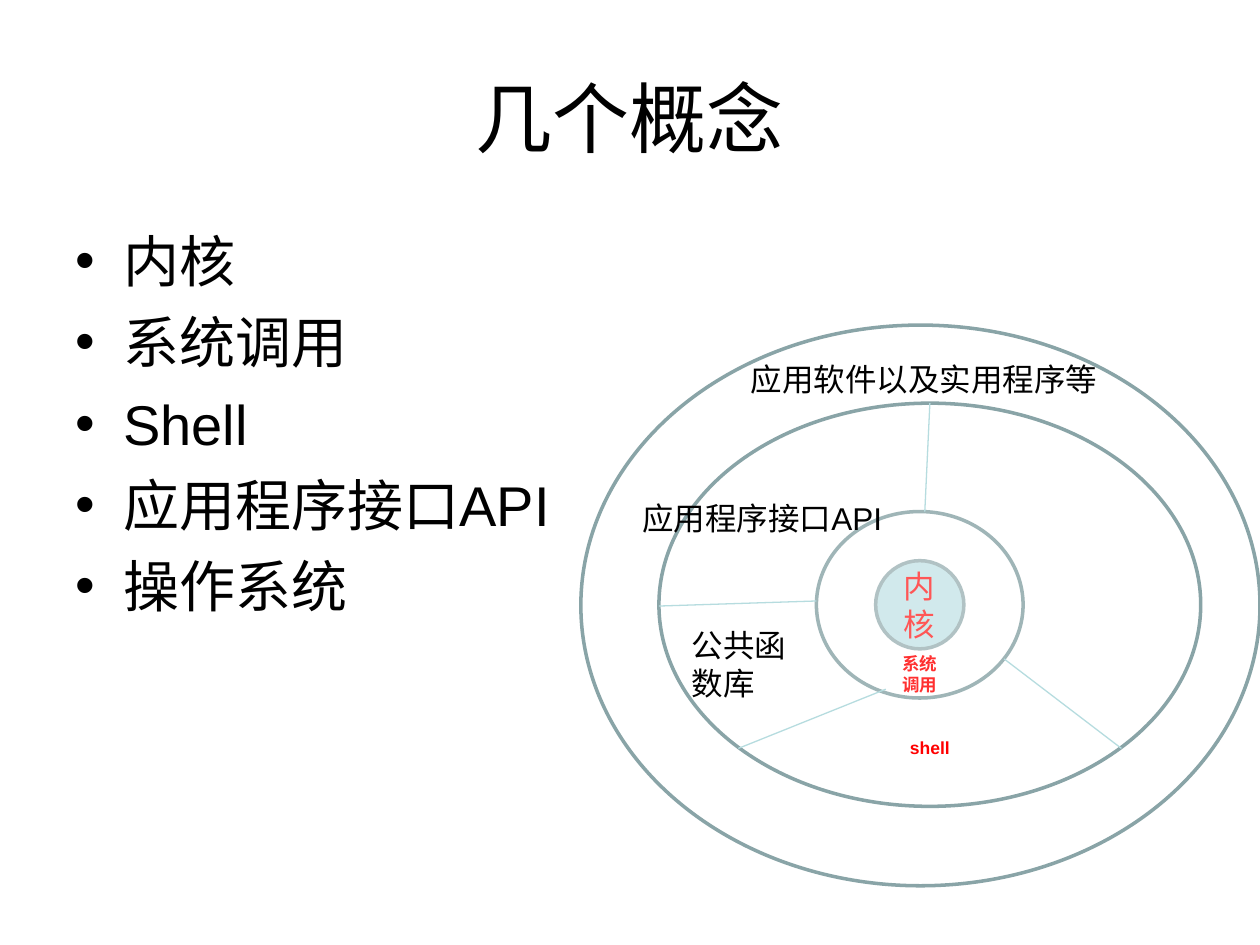
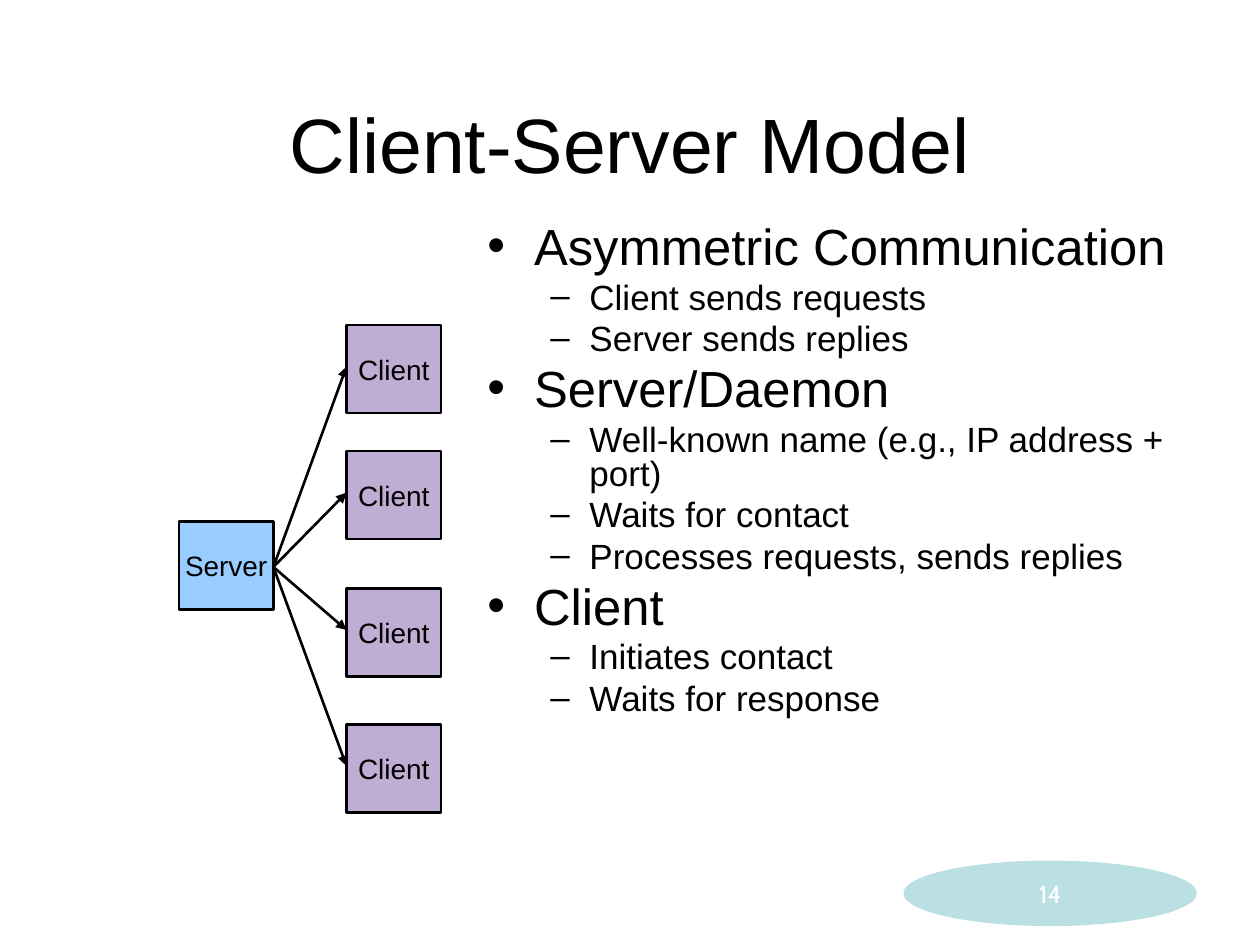
from lxml import etree
from pptx import Presentation
from pptx import util as u
from pptx.dml import color as dml
from pptx.enum import shapes, text
from pptx.oxml import ns

COLORS = {"ink": "000000", "paper": "FFFFFF", "alert": "FF0000", "mint": "BBE0E3",
          "rim": "89A4A7", "spoke": "B6DCDF", "client": "BFADD3", "server": "99CCFF"}
COLUMNS, ROWS = 100, 75
TITLE_CELL = (5, 3, 90, 12.5)
CENTER, LEFT = text.PP_ALIGN.CENTER, text.PP_ALIGN.LEFT
TOP, MIDDLE, BOTTOM = text.MSO_ANCHOR.TOP, text.MSO_ANCHOR.MIDDLE, text.MSO_ANCHOR.BOTTOM

CONCEPTS = {
    "title": "几个概念",
    "points": [(0, "内核"), (0, "系统调用"), (0, "Shell"), (0, "应用程序接口API"), (0, "操作系统")],
    "points_cell": (5, 17.5, 43.4, 49.5),
    "levels": [dict(size=32, mark="•", margin=0.38, hang=0.38, before=8, spacing=1)],
}
KERNEL = ("内核", (69.5, 44.5, 7, 7))
RINGS = [
    ((64.8, 40.6, 16.4, 14.8), ["系统", "调用"], (68, 51.4, 10, 4.2)),
    ((52.3, 32, 43, 32), ["shell"], (68.8, 57.8, 10, 3)),
]
SPOKES = [((52.3, 48.1), (64.8, 47.7)), ((73.8, 32), (73.4, 40.6)),
          ((58.6, 59.4), (70.3, 54.7)), ((79.7, 52.3), (89, 59.4))]
OUTER_RING = (46.1, 25.8, 53.9, 44.5)
SECTORS = [("公共函数库", (53.9, 49.2, 10.9, 7)), ("应用程序接口API", (50, 39.1, 21.9, 4)),
           ("应用软件以及实用程序等", (58.6, 28.1, 30.5, 4))]

MODEL = {
    "title": "Client-Server Model",
    "points": [
        (0, "Asymmetric Communication"), (1, "Client sends requests"), (1, "Server sends replies"),
        (0, "Server/Daemon"), (1, "Well-known name (e.g., IP address + port)"),
        (1, "Waits for contact"), (1, "Processes requests, sends replies"),
        (0, "Client"), (1, "Initiates contact"), (1, "Waits for response")],
    "points_cell": (37.7, 17.5, 57.3, 49.5),
    "levels": [dict(size=29, mark="•", margin=0.37, hang=0.37, before=6, spacing=0.8),
               dict(size=20, mark="–", margin=0.81, hang=0.31, before=4.5, spacing=0.8)],
}
NODE = (7.5, 7)
SERVER = (14.2, 41.4)
CLIENT_COLUMN, CLIENT_ROWS = 27.5, (25.8, 35.8, 46.7, 57.5)
SERVER_PORT, CLIENT_PORT = 3.6, 3.3
PAGE = ("14", (71.7, 68.3, 23.3, 5.2))

deck = Presentation()
deck.slide_width, deck.slide_height = u.Inches(10), u.Inches(7.5)


def spot(column, row):
    return round(column * deck.slide_width / COLUMNS), round(row * deck.slide_height / ROWS)


def place(cell):
    return *spot(*cell[:2]), *spot(*cell[2:])


def apply(target, **values):
    for name, value in values.items():
        setattr(target, name, value)


def rgb(name):
    return dml.RGBColor.from_string(COLORS[name])


def child(parent, tag, **attributes):
    return etree.SubElement(parent, ns.qn(tag), attributes)


def write(shape, lines, size, color="ink", align=CENTER, anchor=MIDDLE, bold=False,
          wrap=True, face="Arial"):
    frame = shape.text_frame
    apply(frame, word_wrap=wrap, vertical_anchor=anchor)
    for index, line in enumerate(lines):
        paragraph = frame.paragraphs[0] if index == 0 else frame.add_paragraph()
        paragraph.alignment = align
        run = paragraph.add_run()
        run.text = line
        apply(run.font, name=face, size=u.Pt(size), bold=bold)
        run.font.color.rgb = rgb(color)


def label(slide, cell, lines, size, **look):
    write(slide.shapes.add_textbox(*place(cell)), lines, size, **look)


def draw(slide, kind, cell, fill=None, line=None, width=2, opacity=None):
    shape = slide.shapes.add_shape(kind, *place(cell))
    shape.shadow.inherit = False
    if fill:
        shape.fill.solid()
        shape.fill.fore_color.rgb = rgb(fill)
    else:
        shape.fill.background()
    if opacity:
        tint = shape.fill._xPr.find(".//" + ns.qn("a:srgbClr"))
        child(tint, "a:alpha", val=str(opacity * 1000))
    if line:
        shape.line.color.rgb = rgb(line)
        shape.line.width = u.Pt(width)
    else:
        shape.line.fill.background()
    return shape


def connect(slide, start, end, color, width, arrow=False):
    link = slide.shapes.add_connector(shapes.MSO_CONNECTOR.STRAIGHT, *spot(*start), *spot(*end))
    link.line.color.rgb = rgb(color)
    link.line.width = u.Pt(width)
    if arrow:
        child(link.line._get_or_add_ln(), "a:tailEnd", type="triangle")
    child(link._element.spPr, "a:effectLst")


def outline(slide, content):
    box = slide.shapes.add_textbox(*place(content["points_cell"]))
    write(box, [line for _, line in content["points"]], 1, align=LEFT, anchor=TOP)
    for index, (paragraph, (depth, _)) in enumerate(
            zip(box.text_frame.paragraphs, content["points"])):
        level = content["levels"][depth]
        properties = paragraph._p.get_or_add_pPr()
        properties.set("marL", str(u.Inches(level["margin"])))
        properties.set("indent", str(-u.Inches(level["hang"])))
        child(child(properties, "a:buClr"), "a:srgbClr", val=COLORS["ink"])
        child(properties, "a:buFont", typeface="Arial")
        child(properties, "a:buChar", char=level["mark"])
        apply(paragraph, level=depth, line_spacing=level["spacing"],
              space_before=u.Pt(level["before"] if index else 0))
        paragraph.runs[0].font.size = u.Pt(level["size"])


def start_slide(content, title_anchor):
    slide = deck.slides.add_slide(deck.slide_layouts[6])
    label(slide, TITLE_CELL, [content["title"]], 44, anchor=title_anchor)
    outline(slide, content)
    return slide


def build_concepts():
    slide = start_slide(CONCEPTS, MIDDLE)
    oval = shapes.MSO_SHAPE.OVAL
    name, cell = KERNEL
    write(draw(slide, oval, cell, "mint", "rim"), [name], 18, "alert")
    for cell, lines, label_cell in RINGS:
        draw(slide, oval, cell, "paper", "rim", opacity=19)
        label(slide, label_cell, lines, 10, color="alert", bold=True)
    for start, end in SPOKES:
        connect(slide, start, end, "spoke", 0.75)
    draw(slide, oval, OUTER_RING, line="rim")
    for name, cell in SECTORS:
        label(slide, cell, [name], 18, align=LEFT, anchor=TOP)


def build_model():
    slide = start_slide(MODEL, BOTTOM)
    nodes = [("Server", *SERVER, "server")]
    nodes += [("Client", CLIENT_COLUMN, row, "client") for row in CLIENT_ROWS]
    for name, column, row, fill in nodes:
        node = draw(slide, shapes.MSO_SHAPE.RECTANGLE, (column, row, *NODE), fill, "ink", 1.5)
        write(node, [name], 16, wrap=False)
    port = SERVER[0] + NODE[0], SERVER[1] + SERVER_PORT
    for row in CLIENT_ROWS:
        connect(slide, port, (CLIENT_COLUMN, row + CLIENT_PORT), "ink", 1.5, arrow=True)
    number, cell = PAGE
    badge = draw(slide, shapes.MSO_SHAPE.OVAL, cell, "mint")
    write(badge, [number], 14, "paper", wrap=False, face="Cabin")


def main():
    """Build the two operating-system concept slides."""
    build_concepts()
    build_model()
    deck.save("out.pptx")


if __name__ == "__main__":
    main()
